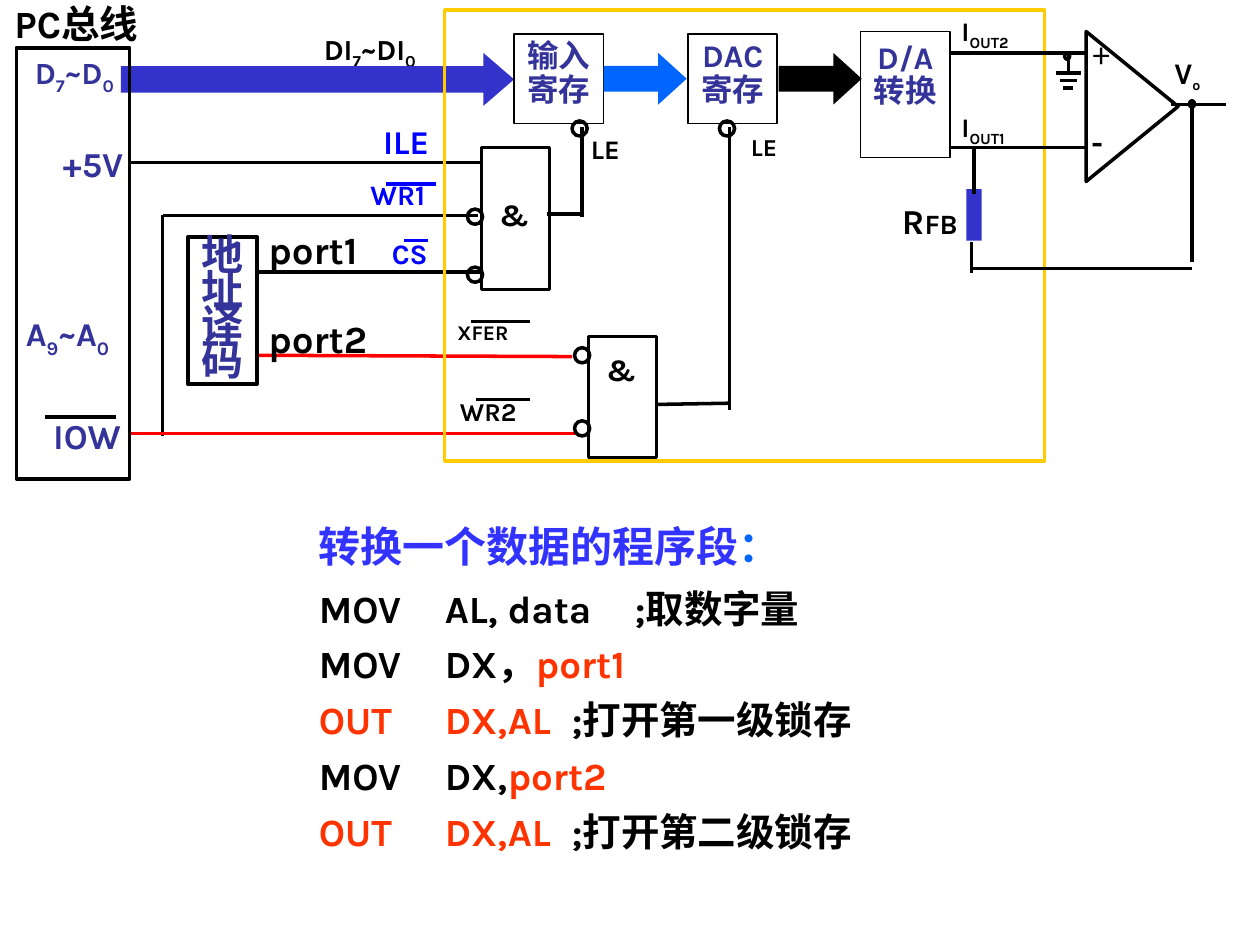
import dataclasses

import pptx
import pptx.dml.color
import pptx.enum.shapes
import pptx.enum.text
import pptx.oxml.ns
import pptx.util
from lxml import etree

Inches, Pt = pptx.util.Inches, pptx.util.Pt
SHAPE = pptx.enum.shapes.MSO_SHAPE
ALIGN = pptx.enum.text.PP_ALIGN
qn = pptx.oxml.ns.qn


@dataclasses.dataclass(frozen=True)
class Theme:
    latin: str = "Karla"
    cjk: str = "Noto Sans CJK SC"
    ink: str = "000000"
    indigo: str = "333399"
    bus: str = "3333CC"
    blue: str = "0000FF"
    sky: str = "0066FF"
    heading: str = "3333FF"
    red: str = "FF0000"
    accent: str = "FF3300"
    frame: str = "FFCC00"
    heading_size: float = 24
    code_size: float = 22
    port_size: float = 22
    pin_size: float = 20
    block_size: float = 18
    note_size: float = 15.3


THEME = Theme()


def rgb(value):
    return pptx.dml.color.RGBColor.from_string(value)


def style(run, size, color, font=THEME.latin, bold=True):
    run.font.size, run.font.bold, run.font.name = Pt(size), bold, font
    run.font.color.rgb = rgb(color)
    etree.SubElement(run._r.get_or_add_rPr(), qn("a:ea"), typeface=THEME.cjk)


def set_frame(frame, left=0, top=0, right=0, bottom=0):
    frame.word_wrap = True
    frame.auto_size = pptx.enum.text.MSO_AUTO_SIZE.NONE
    frame.vertical_anchor = pptx.enum.text.MSO_ANCHOR.TOP
    frame.margin_left, frame.margin_top = Inches(left), Inches(top)
    frame.margin_right, frame.margin_bottom = Inches(right), Inches(bottom)


@dataclasses.dataclass
class Region:
    """A part of the slide whose contents are measured from its top left corner."""
    slide: object
    left: float
    top: float

    def box(self, x, y, w, h):
        return [Inches(v) for v in (self.left + x, self.top + y, w, h)]

    def wire(self, x1, y1, x2, y2, color=THEME.ink):
        ends = self.box(x1, y1, self.left + x2, self.top + y2)
        wire = self.slide.shapes.add_connector(pptx.enum.shapes.MSO_CONNECTOR.STRAIGHT, *ends)
        wire.line.color.rgb, wire.line.width = rgb(color), Pt(2)
        etree.SubElement(wire._element.spPr, qn("a:effectLst"))

    def outline(self, x, y, w, h, kind=SHAPE.RECTANGLE, color=THEME.ink, width=2):
        shape = self.slide.shapes.add_shape(kind, *self.box(x, y, w, h))
        shape.shadow.inherit = False
        shape.fill.background()
        shape.line.color.rgb, shape.line.width = rgb(color), Pt(width)
        return shape

    def solid(self, x, y, w, h, color, kind=SHAPE.RECTANGLE):
        shape = self.outline(x, y, w, h, kind)
        shape.fill.solid()
        shape.fill.fore_color.rgb = rgb(color)
        shape.line.fill.background()
        return shape

    def arrow(self, x, y, w, h, color, head):
        arrow = self.solid(x, y, w, h, color, SHAPE.RIGHT_ARROW)
        arrow.adjustments[0], arrow.adjustments[1] = 0.5, head

    def bubble(self, x, y, w=0.12, h=0.12):
        self.outline(x, y, w, h, SHAPE.OVAL)

    def label(self, x, y, w, h, pieces, size, color=THEME.ink, align=ALIGN.LEFT,
              spacing=1.0, inset=0, **font):
        """Add a one-line label; a piece that starts with _ is a subscript."""
        frame = self.slide.shapes.add_textbox(*self.box(x, y, w, h)).text_frame
        set_frame(frame, top=inset)
        line = frame.paragraphs[0]
        line.alignment, line.line_spacing = align, spacing
        for piece in pieces:
            run = line.add_run()
            run.text = piece.lstrip("_")
            style(run, size, color, **font)
            if piece.startswith("_"):
                run._r.get_or_add_rPr().set("baseline", "-25000")
        return line

    def block(self, x, y, w, h, text, size=THEME.block_size, spacing=0.9, width=1, inset=0.05):
        frame = self.outline(x, y, w, h, width=width).text_frame
        set_frame(frame, top=inset)
        frame.text = text
        for line in frame.paragraphs:
            line.alignment, line.line_spacing = ALIGN.CENTER, spacing
            style(line.runs[0], size, THEME.indigo)
        return frame

    def gate(self, x, y, h, symbol_drop, bubble_drops):
        """Add an AND gate with inverted inputs on its left side."""
        self.outline(x, y, 0.54, h)
        self.label(x + 0.03, y + symbol_drop, 0.46, 0.48, ["&"], THEME.block_size,
                   align=ALIGN.CENTER, spacing=1.5)
        for drop in bubble_drops:
            self.bubble(x - 0.11, y + drop)


def add_pc_bus(region):
    region.outline(0.13, 0.38, 0.9, 3.42)
    region.label(0, 0, 1.21, 0.46, ["PC总线"], THEME.port_size, align=ALIGN.CENTER)
    region.label(0.13, 0.5, 0.92, 0.25, ["D", "_7", "~D", "_0"], 17.6, THEME.indigo,
                 ALIGN.CENTER, 0.5, inset=0.04)
    region.label(0.5, 1.13, 0.63, 0.41, ["+5V"], THEME.pin_size, THEME.indigo)
    region.label(0.04, 2.49, 0.99, 0.37, ["A", "_9", "~A", "_0"], 19, THEME.indigo, ALIGN.CENTER)
    region.label(0.25, 3.29, 0.71, 0.4, ["IOW"], THEME.pin_size, THEME.indigo, ALIGN.RIGHT)
    region.wire(0.36, 3.31, 0.92, 3.31)


def add_signals(region):
    region.label(1.57, 0.25, 1.22, 0.33, ["DI", "_7", "~DI", "_0"], 16.6)
    region.arrow(-0.04, 0.42, 3.12, 0.42, THEME.bus, 0.58)
    for x1, y1, x2, y2, color in (
            (0.02, 1.29, 2.82, 1.29, THEME.ink), (0.29, 1.71, 2.79, 1.71, THEME.ink),
            (0.29, 1.71, 0.29, 3.46, THEME.ink), (1.04, 2.16, 2.83, 2.16, THEME.ink),
            (1.04, 2.82, 3.54, 2.83, THEME.red), (0.04, 3.44, 3.58, 3.44, THEME.red)):
        region.wire(x1, y1, x2, y2, color)
    for name, x, y, size, color in (
            ("ILE", 2.04, 0.96, 19, THEME.blue), ("WR1", 1.94, 1.41, 16.1, THEME.blue),
            ("CS", 2.11, 1.88, 16.1, THEME.blue), ("XFER", 2.63, 2.54, 11.9, THEME.ink),
            ("WR2", 2.65, 3.14, 14.7, THEME.ink), ("port1", 1.13, 1.79, THEME.port_size, THEME.ink),
            ("port2", 1.13, 2.5, THEME.port_size, THEME.ink)):
        region.label(x, y, 0.92, 0.33, [name], size, color)
    for start, end, y, color in (
            (2.06, 2.46, 1.46, THEME.blue), (2.21, 2.4, 1.91, THEME.blue),
            (2.74, 3.21, 2.55, THEME.ink), (2.78, 3.21, 3.17, THEME.ink)):
        region.wire(start, y, end, y, color)
    region.block(0.49, 1.88, 0.55, 1.17, "地址\n译码", THEME.heading_size, 0.7, 2, 0.04)


def add_converter_chip(region):
    region.outline(0.03, 0.08, 4.76, 3.58, color=THEME.frame)
    region.block(0.58, 0.27, 0.71, 0.71, "输入\n寄存")
    region.block(1.96, 0.27, 0.71, 0.71, "DAC\n寄存")
    converter = region.block(3.33, 0.25, 0.71, 1, "D/A\n转换")
    converter.paragraphs[0].line_spacing = 1.0
    region.arrow(1.29, 0.42, 0.66, 0.41, THEME.sky, 0.55)
    region.arrow(2.68, 0.42, 0.66, 0.41, THEME.ink, 0.55)
    region.gate(0.32, 1.17, 1.13, 0.23, (0.49, 0.95))
    region.gate(1.17, 2.67, 0.96, -0.04, (0.09, 0.67))
    region.wire(0.84, 1.7, 1.13, 1.7)
    region.wire(1.71, 3.21, 2.29, 3.2)
    for x, bottom, label_x, size in ((1.12, 1.72, 1.19, THEME.note_size), (2.29, 3.25, 2.46, 13.9)):
        region.wire(x, 1.01, x, bottom)
        region.bubble(x - 0.08, 0.96)
        region.label(label_x, 1.05, 0.65, 0.26, ["LE"], size)


def add_amplifier(region):
    region.outline(0.89, 0.48, 1.19, 0.73, SHAPE.ISOSCELES_TRIANGLE).rotation = 90
    for name, label_y, wire_y in (("OUT2", 0.12, 0.42), ("OUT1", 0.88, 1.17)):
        region.label(0.13, label_y, 0.95, 0.29, ["I", "_" + name], THEME.note_size)
        region.wire(0.05, wire_y, 1.13, wire_y)
    region.label(1.17, 0.32, 0.23, 0.32, ["+"], 18.7, spacing=0.9, font=THEME.cjk, bold=False)
    region.label(1.16, 1, 0.23, 0.32, ["-"], 18.7, spacing=0.9, font=THEME.cjk)
    output = region.label(1.82, 0.43, 0.39, 0.32, ["V", "_o"], 17.1)
    output.runs[1].font.size = Pt(13.9)
    feedback = region.label(-0.41, 1.58, 0.58, 0.33, ["R", "FB"], THEME.pin_size, align=ALIGN.CENTER)
    feedback.runs[1].font.size = Pt(16)
    region.solid(0.17, 1.5, 0.12, 0.41, THEME.bus)
    for ends in ((1.79, 0.83, 2.23, 0.83), (1.96, 2.08, 1.96, 0.83), (0.21, 2.13, 1.96, 2.13),
                 (0.23, 1.17, 0.23, 1.54), (0.21, 1.92, 0.21, 2.17), (0.98, 0.44, 0.98, 0.58)):
        region.wire(*ends)
    for step, half in enumerate((0.1, 0.07, 0.04)):
        y = 0.58 + 0.06 * step
        region.wire(0.98 - half, y, 0.98 + half, y)
    region.bubble(1.94, 0.8, 0.04, 0.05)
    region.bubble(0.95, 0.42, 0.04, 0.05)


def add_program(region):
    title, listing = region.slide.placeholders
    title.left, title.top, title.width, title.height = region.box(0, 0, 4.91, 0.51)
    listing.left, listing.top, listing.width, listing.height = region.box(0, 0.51, 4.91, 2.3)
    for part in (title, listing):
        set_frame(part.text_frame, 0.1, 0.05, 0.1, 0.05)

    heading = title.text_frame.paragraphs[0]
    heading.alignment = ALIGN.LEFT
    for text, color in (("转换一个数据的程序段", THEME.heading), ("：", THEME.sky)):
        run = heading.add_run()
        run.text = text
        style(run, THEME.heading_size, color)

    ink, accent = THEME.ink, THEME.accent
    rows = (
        ((0.89, 1.46, 2.44), (("MOV\tAL,\tdata\t;取数字量", ink),)),
        ((0.89,), (("MOV\tDX，", ink), ("port1", accent))),
        ((0.89, 1.54, 2.27), (("OUT\tDX,\tAL", accent), ("\t;打开第一级锁存", ink))),
        ((0.89, 1.54), (("MOV\tDX,\t", ink), ("port2", accent))),
        ((0.89, 1.54, 2.19), (("OUT\tDX,\tAL", accent), ("\t;打开第二级锁存", ink))),
    )
    frame = listing.text_frame
    for index, (stops, pieces) in enumerate(rows):
        line = frame.add_paragraph() if index else frame.paragraphs[0]
        properties = line._p.get_or_add_pPr()
        properties.set("marL", "0")
        properties.set("indent", "0")
        line.space_before, line.space_after = Pt(0), Pt(5.5)
        etree.SubElement(properties, qn("a:buNone"))
        tabs = etree.SubElement(properties, qn("a:tabLst"))
        for stop in stops:
            etree.SubElement(tabs, qn("a:tab"), pos=str(Inches(stop)), algn="l")
        for text, color in pieces:
            run = line.add_run()
            run.text = text
            style(run, THEME.code_size, color)


def main():
    deck = pptx.Presentation()
    deck.slide_width, deck.slide_height = Inches(10), Inches(7.5)
    slide = deck.slides.add_slide(deck.slide_layouts[1])
    add_program(Region(slide, 2.43, 4.08))
    add_signals(Region(slide, 1, 0))
    add_converter_chip(Region(slide, 3.5, 0))
    add_amplifier(Region(slide, 7.5, 0))
    add_pc_bus(Region(slide, 0, 0))
    deck.save("out.pptx")


if __name__ == "__main__":
    main()
